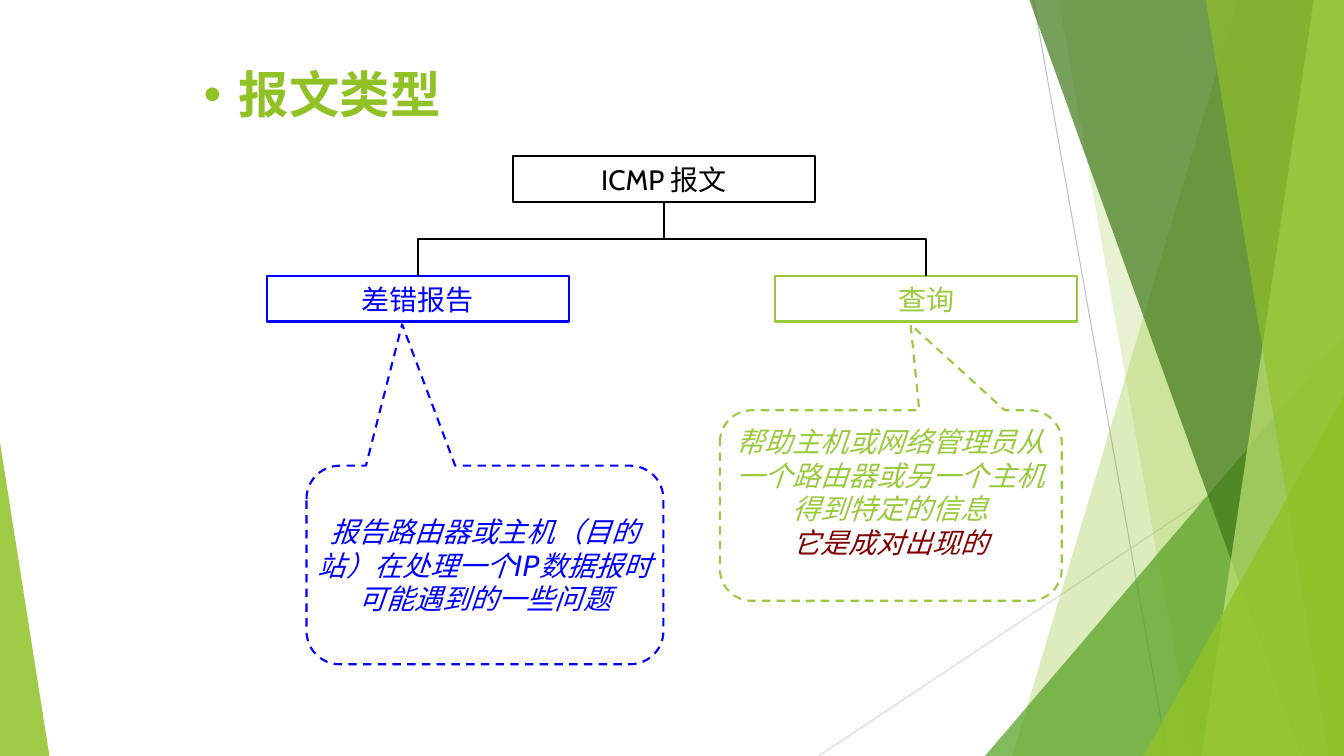
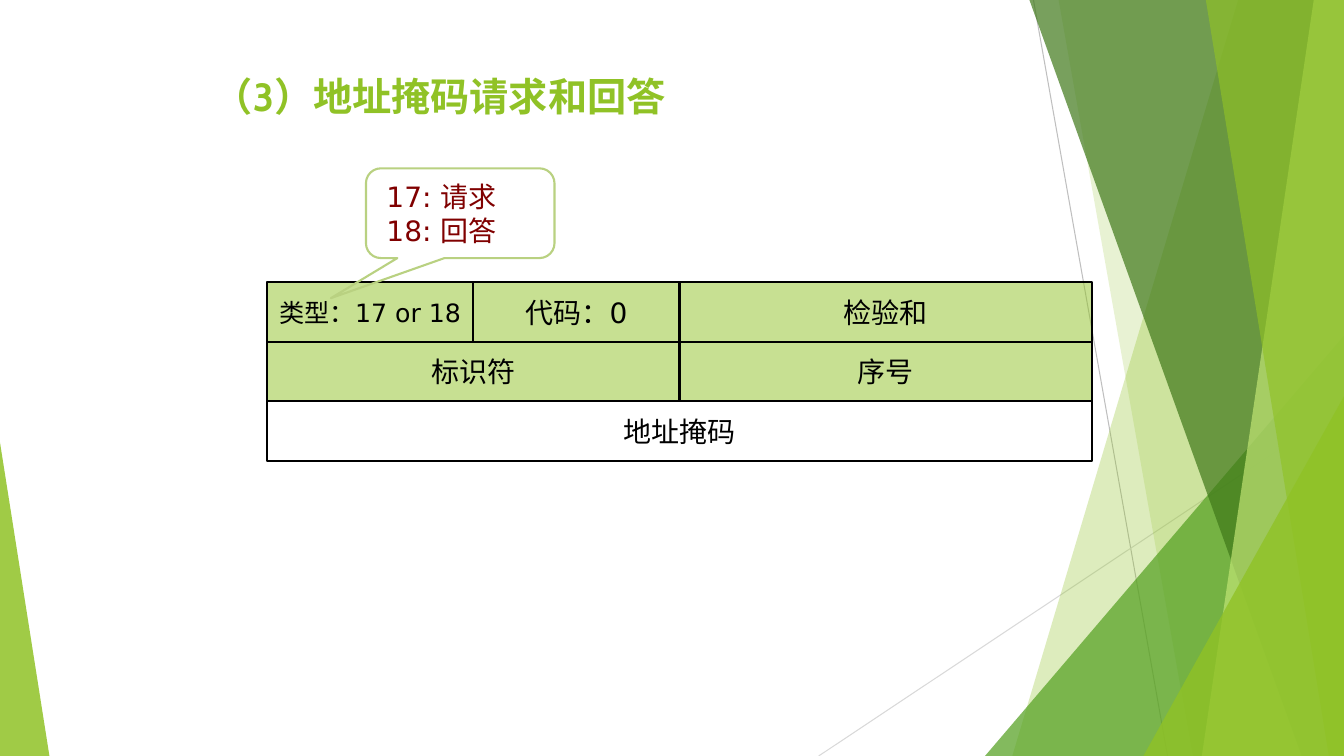
"""Build two slides on ICMP message types and the address mask message."""
import pptx
import pptx.util
import pptx.dml.color
import pptx.enum.dml
import pptx.enum.shapes
import pptx.enum.text
import pptx.oxml
import pptx.oxml.ns

Inches = pptx.util.Inches
Pt = pptx.util.Pt
Shapes = pptx.enum.shapes.MSO_SHAPE
Connectors = pptx.enum.shapes.MSO_CONNECTOR
Anchor = pptx.enum.text.MSO_ANCHOR
Align = pptx.enum.text.PP_ALIGN
qn = pptx.oxml.ns.qn

COLOURS = {
    "green": "90C226", "leaf": "54A021", "forest": "3F7819", "lime": "C0E474",
    "grey": "BFBFBF", "pale": "D9D9D9", "black": "000000", "blue": "0000FF",
    "query": "99CA3C", "maroon": "800000", "olive": "B9D181",
}
WIDTH, HEIGHT = 13.33, 7.5
TITLE_FONT, BODY_FONT = "Cabin", "DejaVu Sans"

RAYS = [(10.25, 0, 11.58, HEIGHT, "grey"), (WIDTH, 4.03, 8.12, HEIGHT, "pale")]
FACETS = [
    ("band", 12.28, 10.04, "green", 30),
    ("band", 10.5, 11.83, "green", 20),
    ("triangle", (9.77, 3.33, 3.56), 1, "leaf", 72),
    ("band", 10.21, 12.91, "forest", 70),
    ("band", 13.03, 11.92, "lime", 70),
    ("band", 11.96, 13.18, "green", 65),
    ("triangle", (11.34, 3.93, 1.99), 1, "green", 80),
    ("triangle", (0, 4.39, 0.49), 0, "green", 85),
]

NODE_SIZE = (2.99, 0.45)
ROOT = ("ICMP 报文", 5.09, 1.55, "black")
CHILDREN = [("差错报告", 2.65, 2.74, "blue"), ("查询", 7.69, 2.74, "query")]
CALLOUTS = [
    {"at": (3.04, 4.62, 3.54, 1.97), "tip": (-0.232, -1.212), "line": "blue",
     "font": BODY_FONT, "anchor": Anchor.MIDDLE,
     "lines": [("报告路由器或主机（目的站）在处理一个IP数据报时可能遇到的一些问题", "blue")]},
    {"at": (7.14, 4.07, 3.39, 1.89), "tip": (0.058, -0.95), "line": "query",
     "font": TITLE_FONT, "anchor": Anchor.TOP,
     "lines": [("帮助主机或网络管理员从一个路由器或另一个主机得到特定的信息", "query"),
               ("它是成对出现的", "maroon")]},
]

FIELD_LEFT, FIELD_TOP, FIELD_WIDTH, FIELD_HEIGHT = 2.65, 2.8, 8.18, 0.59
FIELD_ROWS = [
    [("类型：17 or 18", 1, 18, "green"), ("代码：0", 1, 20, "green"), ("检验和", 2, 20, "green")],
    [("标识符", 2, 20, "green"), ("序号", 2, 20, "green")],
    [("地址掩码", 4, 20, None)],
]
TYPE_NOTE = {"at": (3.63, 1.67, 1.87, 0.89), "tip": (-0.686, 0.947), "line": "olive",
             "font": BODY_FONT, "anchor": Anchor.MIDDLE,
             "lines": [("17: 请求", "maroon"), ("18: 回答", "maroon")]}


def rgb(name):
    return pptx.dml.color.RGBColor.from_string(COLOURS[name])


def paint(shape, fill=None, alpha=100, line=None):
    shape.shadow.inherit = False
    if fill:
        shape.fill.solid()
        shape.fill.fore_color.rgb = rgb(fill)
        colour = shape.fill._xPr.find(".//" + qn("a:srgbClr"))
        pptx.oxml.xmlchemy.OxmlElement  # noqa
        colour.append(new_element("a:alpha", val=str(alpha * 1000)))
    else:
        shape.fill.background()
    if line:
        shape.line.color.rgb = rgb(line)
        shape.line.width = Pt(1.5)
    else:
        shape.line.fill.background()


def new_element(tag, **attributes):
    element = pptx.oxml.parse_xml(f"<{tag} {pptx.oxml.ns.nsdecls('a')}/>")
    for name, value in attributes.items():
        element.set(name, value)
    return element


def write(shape, lines, size, font, align=Align.CENTER, anchor=Anchor.MIDDLE,
          bold=False, italic=False):
    frame = shape.text_frame
    frame.word_wrap = True
    frame.vertical_anchor = anchor
    frame.text = "\n".join(text for text, _ in lines)
    for para, (_, colour) in zip(frame.paragraphs, lines):
        para.alignment = align
        for span in para.runs:
            span.font.size = Pt(size)
            span.font.name = font
            span.font.bold = bold
            span.font.italic = italic
            span.font.color.rgb = rgb(colour)


def add_box(page, kind, at):
    box = page.shapes.add_shape(kind, *map(Inches, at))
    box.text_frame.margin_left = box.text_frame.margin_right = 0
    return box


def style_line(connector, colour, width):
    connector.line.color.rgb = rgb(colour)
    connector.line.width = Pt(width)
    connector.element.spPr.append(new_element("a:effectLst"))


def add_backdrop(deck, page):
    group = page.shapes.add_group_shape()
    for *ends, colour in RAYS:
        ray = group.shapes.add_connector(Connectors.STRAIGHT, *map(Inches, ends))
        style_line(ray, colour, 0.75)
    for kind, place, slant, colour, alpha in FACETS:
        if kind == "band":
            builder = group.shapes.build_freeform(Inches(place), 0)
            corners = [(WIDTH, 0), (WIDTH, HEIGHT), (slant, HEIGHT)]
            builder.add_line_segments([(Inches(x), Inches(y)) for x, y in corners])
            facet = builder.convert_to_shape()
        else:
            left, top, width = place
            facet = group.shapes.add_shape(
                Shapes.ISOSCELES_TRIANGLE, *map(Inches, (left, top, width, HEIGHT - top)))
            facet.adjustments[0] = slant
        paint(facet, colour, alpha)
    for number, node in enumerate(group.element.xpath(".//p:cNvPr"), 101):
        node.set("id", str(number))
    deck.slide_master.shapes.element.insert(2, group.element)


def set_title(page, text, size, at):
    title = page.shapes.title
    title.left, title.top, title.width, title.height = map(Inches, at)
    write(title, [(text, "green")], size, TITLE_FONT, Align.LEFT, Anchor.TOP, bold=True)
    return title


def add_callout(page, note, align=Align.CENTER, italic=False):
    callout = add_box(page, Shapes.ROUNDED_RECTANGULAR_CALLOUT, note["at"])
    for index, value in enumerate(note["tip"]):
        callout.adjustments[index] = value
    paint(callout, line=note["line"])
    write(callout, note["lines"], 20, note["font"], align, note["anchor"], italic=italic)
    return callout


def add_node(page, text, left, top, colour):
    node = add_box(page, Shapes.RECTANGLE, (left, top, *NODE_SIZE))
    paint(node, line=colour)
    write(node, [(text, colour)], 20, TITLE_FONT)
    return node


def add_branch(page, parent, child):
    branch = page.shapes.add_connector(Connectors.ELBOW, 0, 0, 0, 0)
    branch.begin_connect(parent, 2)
    branch.end_connect(child, 0)
    start_y = parent.top + parent.height
    drop, run = child.top - start_y, child.left - parent.left
    middle_x = parent.left + parent.width // 2 + run // 2
    branch.left = middle_x - drop // 2
    branch.top = start_y + drop // 2 - abs(run) // 2
    branch.width, branch.height = drop, abs(run)
    frame = branch.element.spPr.find(qn("a:xfrm"))
    frame.set("rot", str((270 if run > 0 else 90) * 60000))
    frame.set("flipH", "1" if run > 0 else "0")
    frame.set("flipV", "0")
    style_line(branch, "black", 1.5)


def build_types(page):
    title = set_title(page, "报文类型", 36, (1.92, 0.58, 3, 0.92))
    properties = title.text_frame.paragraphs[0]._p.get_or_add_pPr()
    properties.set("marL", str(Inches(0.35)))
    properties.set("indent", str(-Inches(0.35)))
    properties.append(new_element("a:buFont", typeface="Arial"))
    properties.append(new_element("a:buChar", char="•"))
    root = add_node(page, *ROOT)
    for child in CHILDREN:
        add_branch(page, root, add_node(page, *child))
    for note in CALLOUTS:
        callout = add_callout(page, note, italic=True)
        callout.line.dash_style = pptx.enum.dml.MSO_LINE.DASH


def build_mask(page):
    set_title(page, "（3）地址掩码请求和回答", 28, (2.02, 0.67, 6, 0.83))
    unit = FIELD_WIDTH / 4
    for row, fields in enumerate(FIELD_ROWS):
        left = FIELD_LEFT
        for text, span, size, fill in fields:
            top = FIELD_TOP + row * FIELD_HEIGHT
            field = add_box(page, Shapes.RECTANGLE, (left, top, span * unit, FIELD_HEIGHT))
            paint(field, fill, 50, "black")
            write(field, [(text, "black")], size, BODY_FONT)
            left += span * unit
    note = add_callout(page, TYPE_NOTE, Align.LEFT)
    note.text_frame.margin_left = Inches(0.16)


def main():
    deck = pptx.Presentation()
    deck.slide_width, deck.slide_height = Inches(WIDTH), Inches(HEIGHT)
    layout = deck.slide_layouts.get_by_name("Title Only")
    pages = [deck.slides.add_slide(layout) for _ in range(2)]
    add_backdrop(deck, pages[0])
    build_types(pages[0])
    build_mask(pages[1])
    deck.save("out.pptx")


if __name__ == "__main__":
    main()
